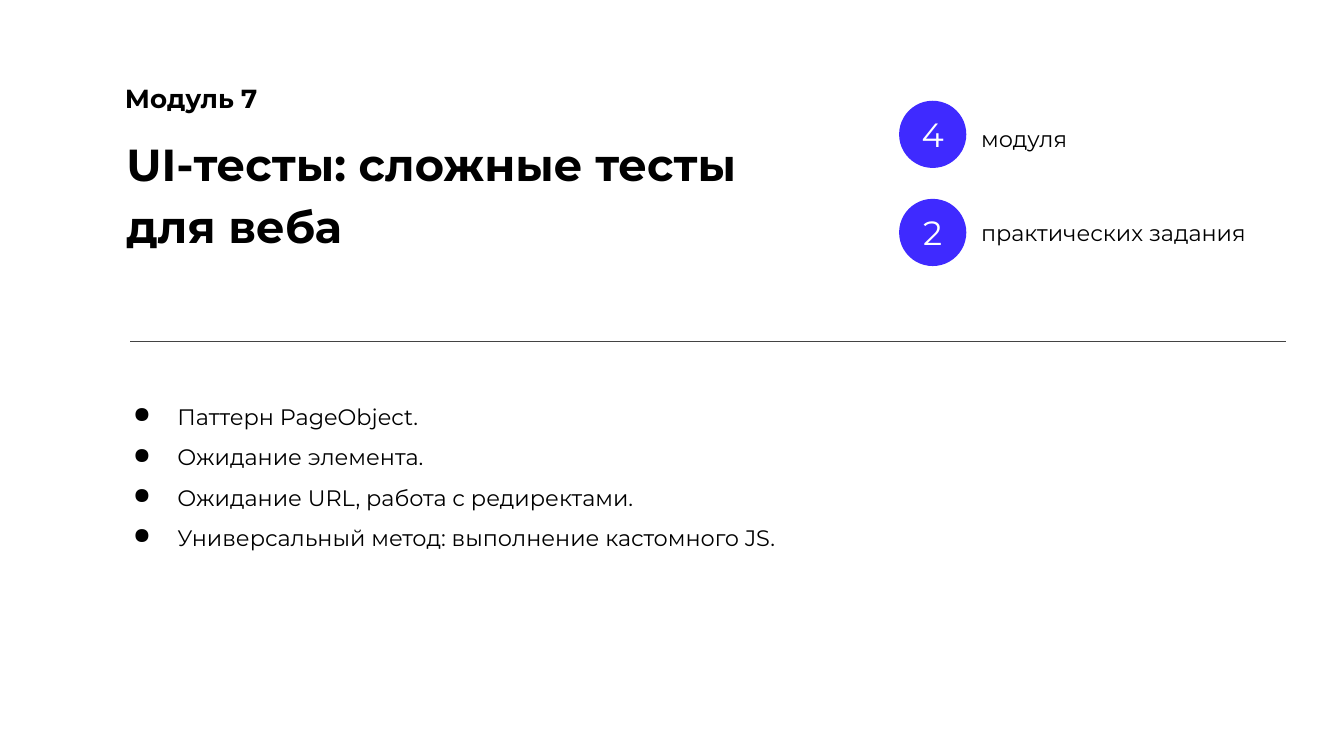
import pptx
import pptx.dml.color
import pptx.enum.shapes
import pptx.enum.text
import pptx.oxml
import pptx.oxml.ns
import pptx.util
from pptx.util import Inches

FONT = "Montserrat"
BLACK = "000000"
TOPICS = [
    "Паттерн PageObject.",
    "Ожидание элемента.",
    "Ожидание URL, работа с редиректами.",
    "Универсальный метод: выполнение кастомного JS.",
]
COUNTS = [
    ("4", 0.75, "модуля", (7.3, 0.9, 1.32, 0.34)),
    ("2", 1.48, "практических задания", (7.3, 1.6, 2.3, 0.49)),
]


def color(value):
    """Turn a hex string into a colour."""
    return pptx.dml.color.RGBColor.from_string(value)


def place(shape, left, top, width, height):
    """Set the position and size of a shape."""
    shape.left, shape.top = Inches(left), Inches(top)
    shape.width, shape.height = Inches(width), Inches(height)


def bullet(para):
    """Give a paragraph a hanging round bullet."""
    props = para._p.get_or_add_pPr()
    props.set("marL", str(Inches(0.5)))
    props.set("indent", str(Inches(-0.33)))
    space = pptx.oxml.ns.nsdecls("a")
    for xml in (
        f'<a:buClr {space}><a:srgbClr val="{BLACK}"/></a:buClr>',
        f'<a:buChar {space} char="●"/>',
    ):
        props.append(pptx.oxml.parse_xml(xml))


def write(shape, lines, size=12, tint=BLACK, bold=False, spacing=1.15,
          align="LEFT", anchor="TOP", marks=False):
    """Fill a shape with formatted paragraphs."""
    frame = shape.text_frame
    frame.word_wrap = True
    frame.auto_size = pptx.enum.text.MSO_AUTO_SIZE.NONE
    frame.vertical_anchor = pptx.enum.text.MSO_ANCHOR[anchor]
    frame.margin_left = frame.margin_right = 0
    frame.margin_top = frame.margin_bottom = 0
    frame.text = "\n".join(lines)
    for para in frame.paragraphs:
        para.alignment = pptx.enum.text.PP_ALIGN[align]
        para.line_spacing = spacing
        if marks:
            bullet(para)
        for run in para.runs:
            run.font.name = FONT
            run.font.size = pptx.util.Pt(size)
            run.font.bold = bold
            run.font.color.rgb = color(tint)


def label(slide, lines, box, **style):
    """Add a text box."""
    shape = slide.shapes.add_textbox(*map(Inches, box))
    write(shape, lines, **style)


def badge(slide, digit, top):
    """Add a filled circle with a number."""
    oval = pptx.enum.shapes.MSO_SHAPE.OVAL
    shape = slide.shapes.add_shape(
        oval, Inches(6.69), Inches(top), Inches(0.5), Inches(0.5))
    shape.shadow.inherit = False
    shape.fill.solid()
    shape.fill.fore_color.rgb = color("3F2AFF")
    shape.line.fill.background()
    write(shape, [digit], size=18, tint="FFFFFF", spacing=1,
          align="CENTER", anchor="MIDDLE")


def rule(slide, left, right, top):
    """Add a thin horizontal line."""
    kind = pptx.enum.shapes.MSO_CONNECTOR.STRAIGHT
    line = slide.shapes.add_connector(
        kind, Inches(left), Inches(top), Inches(right), Inches(top))
    line.line.color.rgb = color("434343")
    line.line.width = pptx.util.Pt(0.75)
    space = pptx.oxml.ns.nsdecls("a")
    line._element.spPr.append(
        pptx.oxml.parse_xml(f"<a:effectLst {space}/>"))


def main():
    """Build the module slide."""
    deck = pptx.Presentation()
    deck.slide_width = Inches(10)
    deck.slide_height = deck.slide_width * 9 // 16
    slide = deck.slides.add_slide(deck.slide_layouts[5])

    label(slide, ["Модуль 7"], (0.93, 0.58, 4.79, 0.28), size=14, bold=True)
    title = slide.shapes.title
    place(title, 0.94, 0.96, 4.99, 2.24)
    write(title, ["UI-тесты: сложные тесты для веба"], size=24, bold=True)

    label(slide, TOPICS, (0.82, 2.9, 6.38, 2.4), spacing=1.5, marks=True)
    rule(slide, 0.97, 9.57, 2.54)
    for digit, top, name, box in COUNTS:
        badge(slide, digit, top)
        label(slide, [name], box)

    deck.save("out.pptx")


if __name__ == "__main__":
    main()
